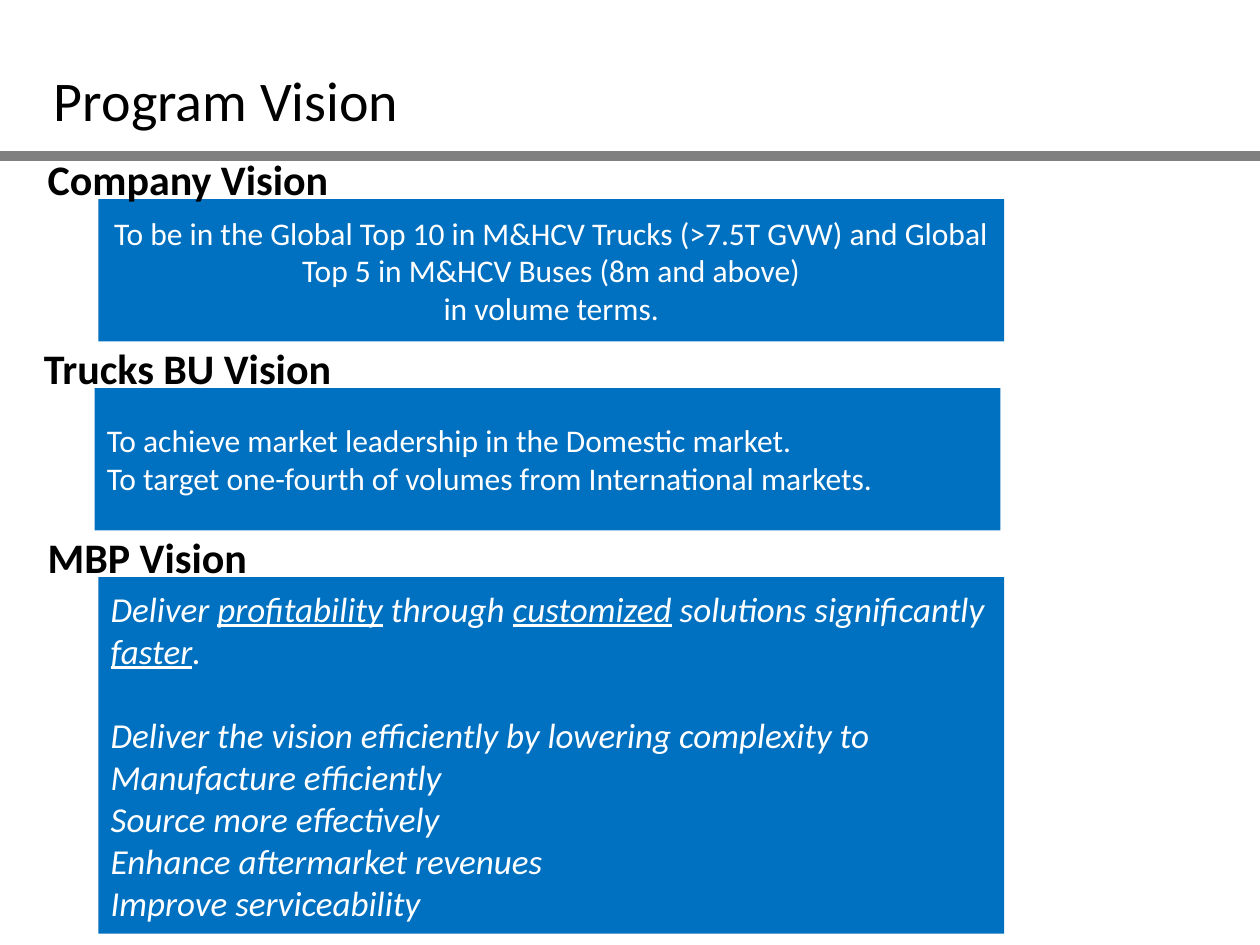
import pptx
import pptx.dml.color
import pptx.enum.shapes
import pptx.enum.text
import pptx.oxml.ns
import pptx.util
from dataclasses import dataclass
from lxml import etree

ALIGN = pptx.enum.text.PP_ALIGN
COLUMNS, ROWS = 100, 75
SLIDE_WIDTH, SLIDE_HEIGHT = pptx.util.Inches(10), pptx.util.Inches(7.5)


@dataclass(frozen=True)
class Theme:
    font: str = "Calibri"
    ink: str = "000000"
    paper: str = "FFFFFF"
    panel: str = "0070C0"
    rule: str = "808080"
    title: int = 32
    heading: int = 24
    body: int = 18
    mission: int = 20
    rule_width: int = 6


THEME = Theme()

# Grid measures of a section, in columns and rows
FIRST_ROW, SECTION_PITCH = 12.6, 15
HEADING_WIDTH, HEADING_HEIGHT = 80.3, 3.2
PANEL_INDENT, PANEL_WIDTH = 5, 71.9

# A paragraph is a list of (text, underlined) runs
COMPANY = [
    [("To be in the Global Top 10 in M&HCV Trucks (>7.5T GVW) and Global "
      "Top 5 in M&HCV Buses (8m and above)", False)],
    [("in volume terms.", False)],
]
TRUCKS = [
    [("To achieve market leadership in the Domestic market.", False)],
    [("To target one-fourth of volumes from International markets.", False)],
]
PROGRAM = [
    [("Deliver ", False), ("profitability", True), (" through ", False),
     ("customized", True), (" solutions significantly ", False),
     ("faster", True), (".", False)],
    [("Deliver the vision efficiently by lowering complexity to", False)],
    [("Manufacture efficiently", False)],
    [("Source more effectively", False)],
    [("Enhance aftermarket revenues", False)],
    [("Improve serviceability", False)],
]


def color(value):
    return pptx.dml.color.RGBColor.from_string(value)


def across(columns):
    return round(SLIDE_WIDTH * columns / COLUMNS)


def down(rows):
    return round(SLIDE_HEIGHT * rows / ROWS)


def area(left, top, width, height):
    return across(left), down(top), across(width), down(height)


def write(box, paragraphs, size, ink, align=ALIGN.LEFT, bold=False, italic=False):
    frame = box.text_frame
    frame.word_wrap = True
    frame.vertical_anchor = pptx.enum.text.MSO_ANCHOR.MIDDLE
    for index, spans in enumerate(paragraphs):
        para = frame.add_paragraph() if index else frame.paragraphs[0]
        para.alignment = align
        for text, underlined in spans:
            span = para.add_run()
            span.text = text
            span.font.name = THEME.font
            span.font.size = pptx.util.Pt(size)
            span.font.color.rgb = color(ink)
            span.font.bold = bold
            span.font.italic = italic
            span.font.underline = underlined


def add_label(page, place, text, size, bold=False):
    box = page.shapes.add_textbox(*area(*place))
    write(box, [[(text, False)]], size, THEME.ink, bold=bold)


def add_panel(page, place, paragraphs, size, **style):
    box = page.shapes.add_shape(
        pptx.enum.shapes.MSO_SHAPE.PENTAGON, *area(*place))
    box.adjustments[0] = 0
    box.shadow.inherit = False
    box.fill.solid()
    box.fill.fore_color.rgb = color(THEME.panel)
    box.line.fill.background()
    write(box, paragraphs, size, THEME.paper, **style)
    return box


def add_rule(page, row):
    rule = page.shapes.add_connector(
        pptx.enum.shapes.MSO_CONNECTOR.STRAIGHT,
        0, down(row), across(COLUMNS), down(row))
    rule.line.color.rgb = color(THEME.rule)
    rule.line.width = pptx.util.Pt(THEME.rule_width)
    etree.SubElement(rule.element.spPr, pptx.oxml.ns.qn("a:effectLst"))


def add_section(page, index, left, heading, panel_height, paragraphs, size, **style):
    top = FIRST_ROW + index * SECTION_PITCH
    panel = add_panel(
        page,
        (left + PANEL_INDENT, top + HEADING_HEIGHT, PANEL_WIDTH, panel_height),
        paragraphs, size, **style)
    add_label(page, (left, top, HEADING_WIDTH, HEADING_HEIGHT),
              heading, THEME.heading, bold=True)
    return panel


def main():
    deck = pptx.Presentation()
    deck.slide_width, deck.slide_height = SLIDE_WIDTH, SLIDE_HEIGHT
    page = deck.slides.add_slide(deck.slide_layouts[6])

    # Title and its rule
    add_rule(page, 12.4)
    add_label(page, (3.3, 3.3, 64.2, 9.2), "Program Vision", THEME.title)

    # Three visions, from company to program
    add_section(page, 0, 2.8, "Company Vision", 11.3, COMPANY, THEME.body,
                align=ALIGN.CENTER)
    add_section(page, 1, 2.5, "Trucks BU Vision", 11.3, TRUCKS, THEME.body)
    mission = add_section(page, 2, 2.8, "MBP Vision", 28.3, PROGRAM,
                          THEME.mission, italic=True)

    # One line of space between the goal and the means
    mission.text_frame.paragraphs[1].space_before = pptx.util.Pt(24)

    deck.save("out.pptx")


if __name__ == "__main__":
    main()
